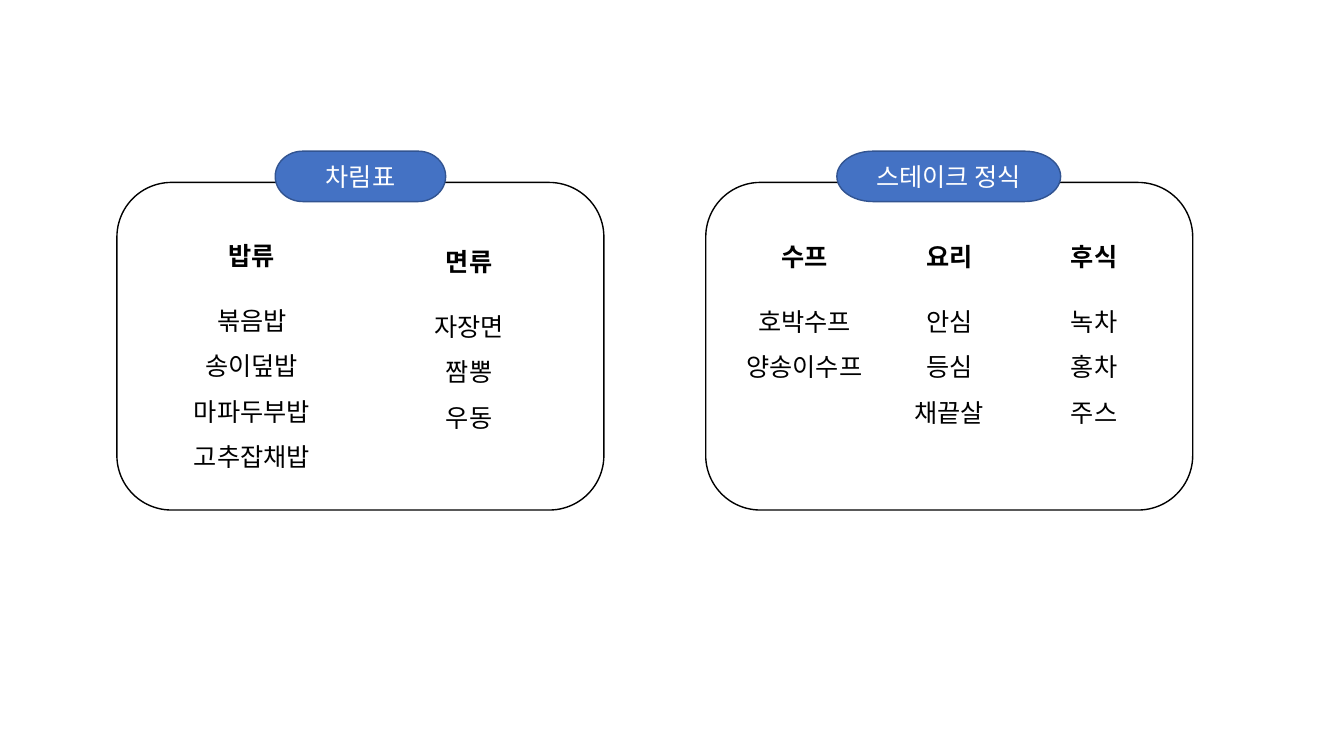
from lxml import etree
from pptx import Presentation
from pptx.dml.color import RGBColor
from pptx.enum import shapes, text
from pptx.oxml.ns import qn
from pptx.util import Inches, Pt

FONT = "Noto Sans CJK KR"
TEXT_INSET = 0.26


def rgb(value):
    return RGBColor.from_string(value)


def format_paragraph(p, color, bold=False):
    p.alignment = text.PP_ALIGN.CENTER
    for r in p.runs:
        r.font.size = Pt(18)
        r.font.bold = bold
        r.font.name = FONT
        r.font.color.rgb = rgb(color)
        ea = etree.SubElement(r.font._element, qn("a:ea"))
        ea.set("typeface", FONT)


prs = Presentation()
prs.slide_width, prs.slide_height = Inches(13.33), Inches(7.5)
s = prs.slides.add_slide(prs.slide_layouts[6])

# Each menu: card left, label left and width, label, columns (top, heading, dishes)
menus = [
    (1.16, 2.73, 1.69, "차림표", [
        (2.23, "밥류", ["볶음밥", "송이덮밥", "마파두부밥", "고추잡채밥"]),
        (2.29, "면류", ["자장면", "짬뽕", "우동"]),
    ]),
    (7, 8.3, 2.22, "스테이크 정식", [
        (2.24, "수프", ["호박수프", "양송이수프"]),
        (2.24, "요리", ["안심", "등심", "채끝살"]),
        (2.24, "후식", ["녹차", "홍차", "주스"]),
    ]),
]

for card_left, label_left, label_width, label, columns in menus:
    # Card and label
    card = s.shapes.add_shape(shapes.MSO_SHAPE.ROUNDED_RECTANGLE, Inches(card_left),
                              Inches(1.81), Inches(4.83), Inches(3.25))
    pill = s.shapes.add_shape(shapes.MSO_SHAPE.FLOWCHART_TERMINATOR, Inches(label_left),
                              Inches(1.5), Inches(label_width), Inches(0.5))
    for sp, fill, line in ((card, "FFFFFF", "000000"), (pill, "4472C4", "325491")):
        sp.shadow.inherit = False
        sp.fill.solid()
        sp.fill.fore_color.rgb = rgb(fill)
        sp.line.color.rgb = rgb(line)
        sp.line.width = Pt(1)
    tf = pill.text_frame
    tf.text = label
    tf.vertical_anchor = text.MSO_ANCHOR.MIDDLE
    format_paragraph(tf.paragraphs[0], "FFFFFF")

    # Equal columns of dishes
    width = (4.83 - 2 * TEXT_INSET) / len(columns)
    for i, (top, heading, dishes) in enumerate(columns):
        box = s.shapes.add_textbox(Inches(card_left + TEXT_INSET + i * width), Inches(top),
                                   Inches(width), Inches(0.65 + 0.45 * len(dishes)))
        tf = box.text_frame
        tf.word_wrap = True
        tf.margin_left = tf.margin_right = tf.margin_top = tf.margin_bottom = 0
        tf.text = "\n".join([heading] + dishes)
        for n, p in enumerate(tf.paragraphs):
            format_paragraph(p, "000000", bold=n == 0)
            p.line_spacing = Pt(32.5)
        tf.paragraphs[0].space_after = Pt(14)

prs.save("out.pptx")
